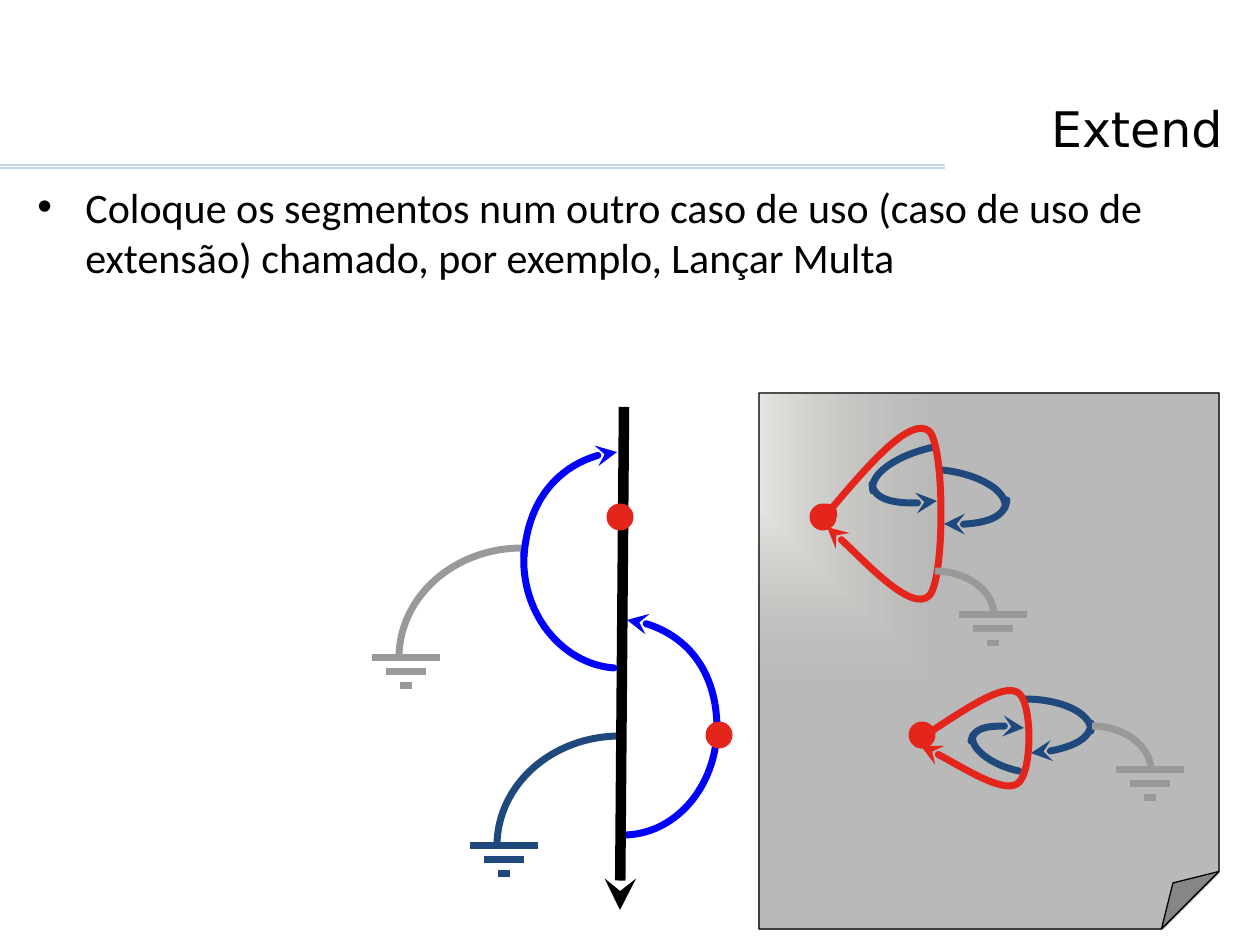
from lxml.etree import SubElement
from pptx import Presentation
from pptx.dml.color import RGBColor
from pptx.enum.shapes import MSO_CONNECTOR, MSO_SHAPE
from pptx.enum.text import MSO_ANCHOR, MSO_AUTO_SIZE, PP_ALIGN
from pptx.oxml import parse_xml
from pptx.oxml.ns import nsdecls, qn
from pptx.util import Pt

PX = 914400 / 126
BLUE, NAVY, GREY, RED, BLACK = "0000FF", "1F497D", "999999", "E4251C", "000000"

WIDE_ARC = [(27, 0), (27, -61), (82, -110), (150, -110)]
SMALL_ARC = [(-24, -44), (8, -44), (35, -24), (35, 0)]

LARGE_EXTENSION = {
    "loop": [(4, -3), (45, -52), (88, -100), (106, -86), (122, -72), (122, 64),
             (106, 79), (88, 95), (20, 22), (4, 10)],
    "returns": [
        ([(111, -70), (74, -62), (46, -43), (50, -26)],
         [(49, -33), (51, -18), (80, -10), (114, -16)]),
        ([(119, -47), (156, -43), (185, -26), (182, -9)],
         [(184, -17), (182, 0), (155, 10), (121, 7)]),
    ],
    "ground": (136, 98),
}
SMALL_EXTENSION = {
    "loop": [(-1, 3), (39, -23), (80, -51), (95, -43), (111, -36), (111, 40),
             (95, 49), (80, 58), (15, 17), (-1, 11)],
    "returns": [
        ([(102, -36), (140, -36), (169, -22), (169, -4)],
         [(169, -12), (169, 3), (143, 17), (109, 18)]),
        ([(97, 36), (68, 30), (47, 12), (51, 0)],
         [(49, 6), (52, -7), (74, -12), (102, -7)]),
    ],
    "ground": (194, 35),
}


def px(*lengths):
    """Turn px lengths into EMU."""
    return [round(length * PX) for length in lengths]


def rgb(color):
    """Turn a hex string into a colour."""
    return RGBColor.from_string(color)


def style_line(shape, color, width, head=None, tail=None, cap="flat"):
    """Set the colour, width, ends and cap of a shape's line."""
    shape.line.color.rgb = rgb(color)
    shape.line.width = Pt(width)
    line = shape.line._get_or_add_ln()
    line.set("cap", cap)
    for tag, kind in (("a:headEnd", head), ("a:tailEnd", tail)):
        if kind:
            SubElement(line, qn(tag), type=kind)


def add_line(slide, start, end, color, width, tail=None):
    """Draw a straight line without a shadow."""
    line = slide.shapes.add_connector(MSO_CONNECTOR.STRAIGHT, *px(*start, *end))
    style_line(line, color, width, tail=tail)
    SubElement(line._element.spPr, qn("a:effectLst"))


def add_curve(slide, origin, points, color, head=None, tail=None, cap="rnd"):
    """Draw cubic curves through a start and triples of control points."""
    start, *rest = [(origin[0] + x, origin[1] + y) for x, y in points]
    builder = slide.shapes.build_freeform(*start, scale=PX)
    builder.add_line_segments(rest, close=False)
    curve = builder.convert_to_shape()
    segments = list(curve._element.iter(qn("a:lnTo")))
    for index in range(0, len(segments), 3):
        triple = segments[index:index + 3]
        bezier = triple[0].makeelement(qn("a:cubicBezTo"))
        triple[0].addprevious(bezier)
        for segment in triple:
            bezier.append(segment[0])
            segment.getparent().remove(segment)
    curve.fill.background()
    curve.shadow.inherit = False
    style_line(curve, color, 4, head, tail, cap)


def add_dot(slide, center):
    """Draw a red extension point around its centre."""
    box = px(center[0] - 10, center[1] - 10, 20, 20)
    dot = slide.shapes.add_shape(MSO_SHAPE.OVAL, *box)
    dot.fill.solid()
    dot.fill.fore_color.rgb = rgb(RED)
    dot.shadow.inherit = False
    style_line(dot, RED, 4)


def add_ground(slide, left, top, arc, color):
    """Draw an arc that ends in three shrinking bars."""
    add_curve(slide, (left, top), arc, color, cap="flat")
    for step in range(3):
        inset = 14 * step
        add_line(slide, (left + inset, top + inset), (left + 68 - inset, top + inset), color, 4)


def style_font(paragraph, name, size):
    """Set the font of a whole paragraph in black."""
    paragraph.font.name = name
    paragraph.font.size = Pt(size)
    paragraph.font.color.rgb = rgb(BLACK)


def add_header(slide, left, top, width, height):
    """Place the title and the double rule below it."""
    for rule in (165, 168):
        add_line(slide, (0, rule), (945, rule), "C4D6EB", 0.75)
    title = slide.shapes.title
    title.left, title.top, title.width, title.height = px(left, top, width, height)
    frame = title.text_frame
    frame.text = "Extend"
    frame.vertical_anchor = MSO_ANCHOR.BOTTOM
    frame.auto_size = MSO_AUTO_SIZE.NONE
    paragraph = frame.paragraphs[0]
    paragraph.alignment = PP_ALIGN.RIGHT
    style_font(paragraph, "DejaVu Sans", 28)


def add_body(slide, left, top, width, height):
    """Place the bulleted text."""
    frame = slide.shapes.add_textbox(*px(left, top, width, height)).text_frame
    frame.word_wrap = True
    paragraph = frame.paragraphs[0]
    paragraph.text = ("Coloque os segmentos num outro caso de uso (caso de uso de extensão) "
                      "chamado, por exemplo, Lançar Multa")
    properties = paragraph._p.get_or_add_pPr()
    indent = px(48)[0]
    properties.set("marL", str(indent))
    properties.set("indent", str(-indent))
    SubElement(properties, qn("a:buFont"), typeface="Arial")
    SubElement(properties, qn("a:buChar"), char="•")
    style_font(paragraph, "Calibri", 24)


def add_flow(slide, left, top):
    """Draw the main flow with its alternatives and dead ends."""
    origin = (left, top)
    add_curve(slide, origin, [(254, 428), (307, 426), (347, 375), (345, 315)], BLUE)
    add_curve(slide, origin, [(345, 319), (344, 263), (305, 217), (255, 213)], BLUE, tail="stealth")
    add_ground(slide, left, top + 251, WIDE_ARC, GREY)
    add_curve(slide, origin, [(242, 261), (189, 257), (148, 205), (152, 145)], BLUE)
    add_curve(slide, origin, [(152, 149), (156, 93), (196, 48), (245, 45)], BLUE, tail="stealth")
    add_ground(slide, left + 98, top + 439, WIDE_ARC, NAVY)
    add_line(slide, (left + 252, top), (left + 248, top + 503), BLACK, 6, tail="stealth")
    add_dot(slide, (left + 248, top + 110))
    add_dot(slide, (left + 347, top + 328))


def add_note(slide, left, top, width, height):
    """Draw the shaded sheet with a folded corner."""
    note = slide.shapes.add_shape(MSO_SHAPE.FOLDED_CORNER, *px(left, top, width, height))
    note.shadow.inherit = False
    style_line(note, BLACK, 0.75)
    geometry = note._element.spPr.find(qn("a:prstGeom"))
    SubElement(geometry.get_or_add_avLst(), qn("a:gd"), name="adj", fmla="val 12500")
    stops = "".join(
        f'<a:gs pos="{position}"><a:srgbClr val="{color}"><a:alpha val="{alpha}"/></a:srgbClr></a:gs>'
        for position, color, alpha in ((0, "EEECE1", 48000), (100000, BLACK, 27000)))
    gradient = parse_xml(
        f'<a:gradFill {nsdecls("a")} rotWithShape="1"><a:gsLst>{stops}</a:gsLst>'
        '<a:path path="rect"><a:fillToRect r="100000" b="100000"/></a:path></a:gradFill>')
    geometry.addnext(gradient)


def add_extension(slide, center, parts):
    """Draw an extension loop with its inner returns and dead end."""
    add_dot(slide, center)
    for outward, inward in parts["returns"]:
        add_curve(slide, center, outward, NAVY)
        add_curve(slide, center, inward, NAVY, tail="stealth")
    add_curve(slide, center, parts["loop"], RED, head="oval", tail="stealth")
    across, down = parts["ground"]
    add_ground(slide, center[0] + across, center[1] + down, SMALL_ARC, GREY)


def main():
    """Build and save the slide."""
    presentation = Presentation()
    presentation.slide_width, presentation.slide_height = px(1260, 945)
    slide = presentation.slides.add_slide(presentation.slide_layouts[5])
    add_header(slide, 23, 35, 1212, 129)
    add_body(slide, 25, 175, 1211, 743)
    add_note(slide, 759, 393, 460, 536)
    add_flow(slide, 372, 407)
    add_extension(slide, (823, 517), LARGE_EXTENSION)
    add_extension(slide, (922, 735), SMALL_EXTENSION)
    presentation.save("out.pptx")


if __name__ == "__main__":
    main()
